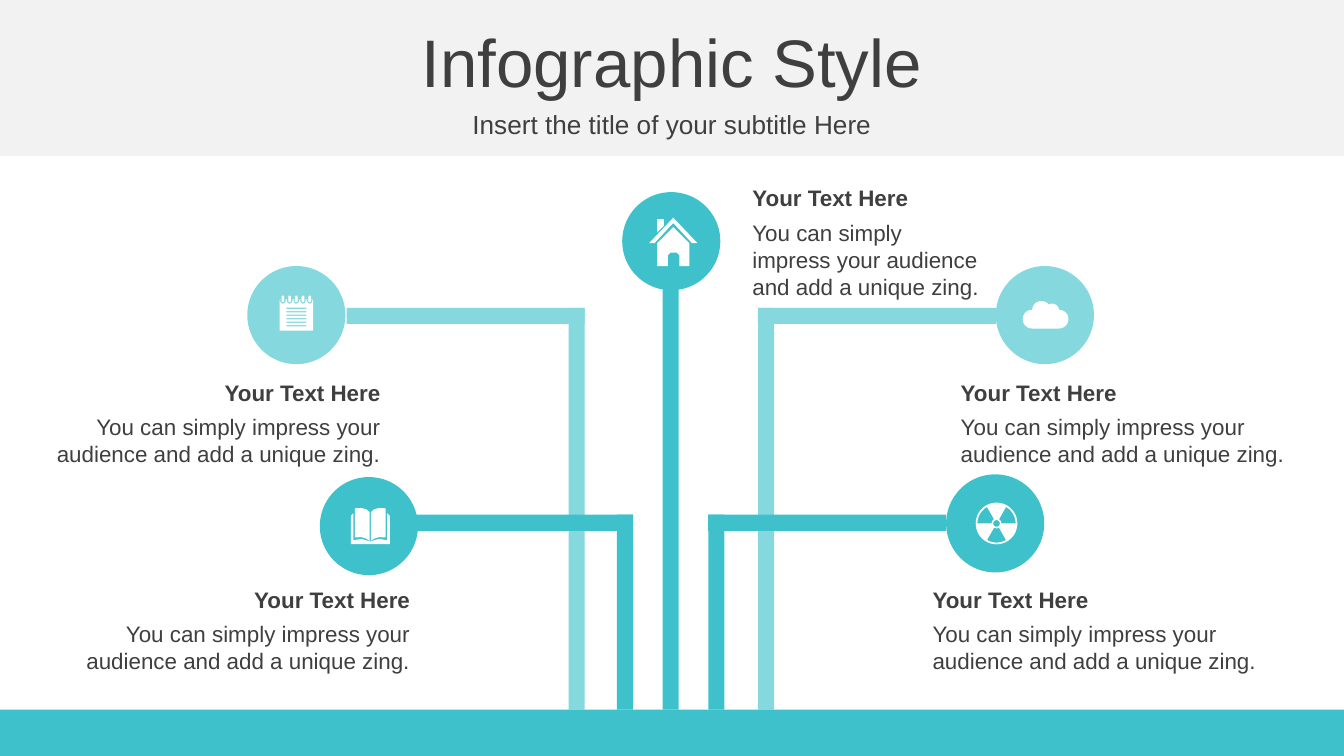
from dataclasses import dataclass
from math import cos, radians, sin

from pptx import Presentation
from pptx.dml.color import RGBColor
from pptx.enum.shapes import MSO_SHAPE
from pptx.enum.text import MSO_ANCHOR, PP_ALIGN
from pptx.util import Inches, Pt


@dataclass(frozen=True)
class Theme:
    font: str = "Arial"
    text: str = "3F3F3F"
    band: str = "F2F2F2"
    dark: str = "3FC1CB"
    light: str = "85D8DE"
    icon: str = "FFFFFF"
    title_size: int = 36
    subtitle_size: int = 14
    caption_size: int = 12


THEME = Theme()
CELL = Inches(0.01)
COLUMNS, ROWS = 1000, 562.5
GROUND_TOP = 528
PIPE, ARM, DISC = 12, 177, 73
HEADING_HEIGHT, BODY_OFFSET = 30, 25.5

TITLE = "Infographic Style"
SUBTITLE = "Insert the title of your subtitle Here"
HEADING = "Your Text Here"
BODY = "You can simply impress your audience and add a unique zing."

BRANCHES = [
    {"icon": "notebook", "color": THEME.light, "stem": 423, "top": 229, "arm": -1, "disc": (184, 198)},
    {"icon": "cloud", "color": THEME.light, "stem": 564, "top": 229, "arm": 1, "disc": (741, 198)},
    {"icon": "radiation", "color": THEME.dark, "stem": 527, "top": 383, "arm": 1, "disc": (704, 353)},
    {"icon": "book", "color": THEME.dark, "stem": 459, "top": 383, "arm": -1, "disc": (238, 355)},
    {"icon": "house", "color": THEME.dark, "stem": 493, "top": 174, "arm": 0, "disc": (463, 143)},
]

CAPTIONS = [
    (12, 277, 281, 50, PP_ALIGN.RIGHT),
    (34, 431, 281, 50, PP_ALIGN.RIGHT),
    (684, 431, 281, 50, PP_ALIGN.LEFT),
    (705, 277, 281, 50, PP_ALIGN.LEFT),
    (550, 132, 193, 71, PP_ALIGN.LEFT),
]


def arc(x, y, radius, start, end, steps=16):
    angles = [radians(start + (end - start) * step / steps) for step in range(steps + 1)]
    return [(x + radius * cos(angle), y + radius * sin(angle)) for angle in angles]


def box(left, top, right, bottom):
    return [(left, top), (right, top), (right, bottom), (left, bottom)]


def notebook():
    rings = range(-10, 11, 5)
    notches = [[(x - 2, -11.5), *arc(x, -10.5, 2, 180, 0), (x + 2, -11.5)] for x in rings]
    wires = [arc(x, -13.5, 1, 180, 360) + arc(x, -10.5, 1, 0, 180) for x in rings]
    lines = [box(-7.5, -5.5 + 2.6 * row, 7.5, -4.5 + 2.6 * row) for row in range(6)]
    return [box(-12.5, -11.5, 12.5, 11.5), *notches, *wires, *lines]


def cloud():
    return [arc(-9.5, 3, 7, 90, 270) + arc(-2.5, -3.5, 7, 180, 330)
            + arc(5.5, -3.5, 5, 240, 360) + arc(10.5, 3, 7, 270, 450)]


def radiation():
    blades = [arc(1, 0, 14.2, start, start + 60) + arc(1, 0, 3.6, start + 60, start)
              for start in (60, 180, 300)]
    return [arc(1, 0, 15.5, 0, 360, 48), arc(1, 0, 2.5, 0, 360), *blades]


def book():
    cover = [(-13.5, -7.5), (-11.5, -9.5), (-11.5, 10.5), (-5.5, 9.5), (1, 11.5), (7.5, 9.5),
             (13.5, 10.5), (13.5, -9.5), (15.5, -7.5), (15.5, 13.5), (-13.5, 13.5)]
    page = [(-10.5, -13.2), (-5.5, -13.5), (-2, -12.5), (0.5, -10.5), (0.5, 11),
            (-2, 9.3), (-5.5, 8.2), (-10.5, 8.5)]
    return [cover, page, [(2 - x, y) for x, y in page]]


def house():
    roof = [(1.5, -17.5), (19.5, 1.5), (15.5, 1.5), (1.5, -13.5), (-12.5, 1.5), (-16.5, 1.5)]
    chimney = [(-10.5, -16.5), (-5.5, -16.5), (-5.5, -11.5), (-10.5, -6.5)]
    walls = [(1.5, -10.5), (13.5, 1.5), (13.5, 18.5), (6, 18.5), (6, 10.5), (4, 8.5),
             (-0.5, 8.5), (-2.5, 10.5), (-2.5, 18.5), (-10.5, 18.5), (-10.5, 1.5)]
    return [roof, chimney, walls]


ICONS = {"notebook": notebook, "cloud": cloud, "radiation": radiation, "book": book, "house": house}


def cells(*values):
    return [round(value * CELL) for value in values]


def paint(shape, color):
    shape.shadow.inherit = False
    shape.fill.solid()
    shape.fill.fore_color.rgb = RGBColor.from_string(color)
    shape.line.fill.background()


def add_block(slide, kind, area, color):
    paint(slide.shapes.add_shape(kind, *cells(*area)), color)


def add_icon(slide, contours, center_x, center_y):
    placed = [[cells(center_x + x, center_y + y) for x, y in contour] for contour in contours]
    builder = slide.shapes.build_freeform(*placed[0][0])
    for index, contour in enumerate(placed):
        if index:
            builder.move_to(*contour[0])
        builder.add_line_segments(contour[1:], close=True)
    paint(builder.convert_to_shape(), THEME.icon)


def add_text(slide, area, text, size, alignment, bold=False):
    text_frame = slide.shapes.add_textbox(*cells(*area)).text_frame
    text_frame.word_wrap = True
    text_frame.vertical_anchor = MSO_ANCHOR.MIDDLE
    text_frame.text = text
    paragraph = text_frame.paragraphs[0]
    paragraph.alignment = alignment
    font = paragraph.runs[0].font
    font.name, font.size, font.bold = THEME.font, Pt(size), bold
    font.color.rgb = RGBColor.from_string(THEME.text)


def add_branch(slide, branch):
    stem, top, color = branch["stem"], branch["top"], branch["color"]
    add_block(slide, MSO_SHAPE.RECTANGLE, (stem, top, PIPE, GROUND_TOP - top), color)
    if branch["arm"]:
        arm_left = stem if branch["arm"] > 0 else stem + PIPE - ARM
        add_block(slide, MSO_SHAPE.RECTANGLE, (arm_left, top, ARM, PIPE), color)
    left, disc_top = branch["disc"]
    add_block(slide, MSO_SHAPE.OVAL, (left, disc_top, DISC, DISC), color)
    add_icon(slide, ICONS[branch["icon"]](), left + DISC / 2, disc_top + DISC / 2)


def add_caption(slide, left, top, width, body_height, alignment):
    body_area = (left, top + BODY_OFFSET, width, body_height)
    add_text(slide, body_area, BODY, THEME.caption_size, alignment)
    add_text(slide, (left, top, width, HEADING_HEIGHT), HEADING, THEME.caption_size, alignment, True)


def main():
    presentation = Presentation()
    presentation.slide_width, presentation.slide_height = cells(COLUMNS, ROWS)
    slide = presentation.slides.add_slide(presentation.slide_layouts[6])
    add_block(slide, MSO_SHAPE.RECTANGLE, (0, 0, COLUMNS, 116), THEME.band)
    add_text(slide, (0, 14, COLUMNS, 63), TITLE, THEME.title_size, PP_ALIGN.CENTER)
    add_text(slide, (0, 77, COLUMNS, 31), SUBTITLE, THEME.subtitle_size, PP_ALIGN.CENTER)
    for branch in BRANCHES:
        add_branch(slide, branch)
    for caption in CAPTIONS:
        add_caption(slide, *caption)
    ground = (0, GROUND_TOP, COLUMNS, ROWS - GROUND_TOP)
    add_block(slide, MSO_SHAPE.RECTANGLE, ground, THEME.dark)
    presentation.save("out.pptx")


if __name__ == "__main__":
    main()
